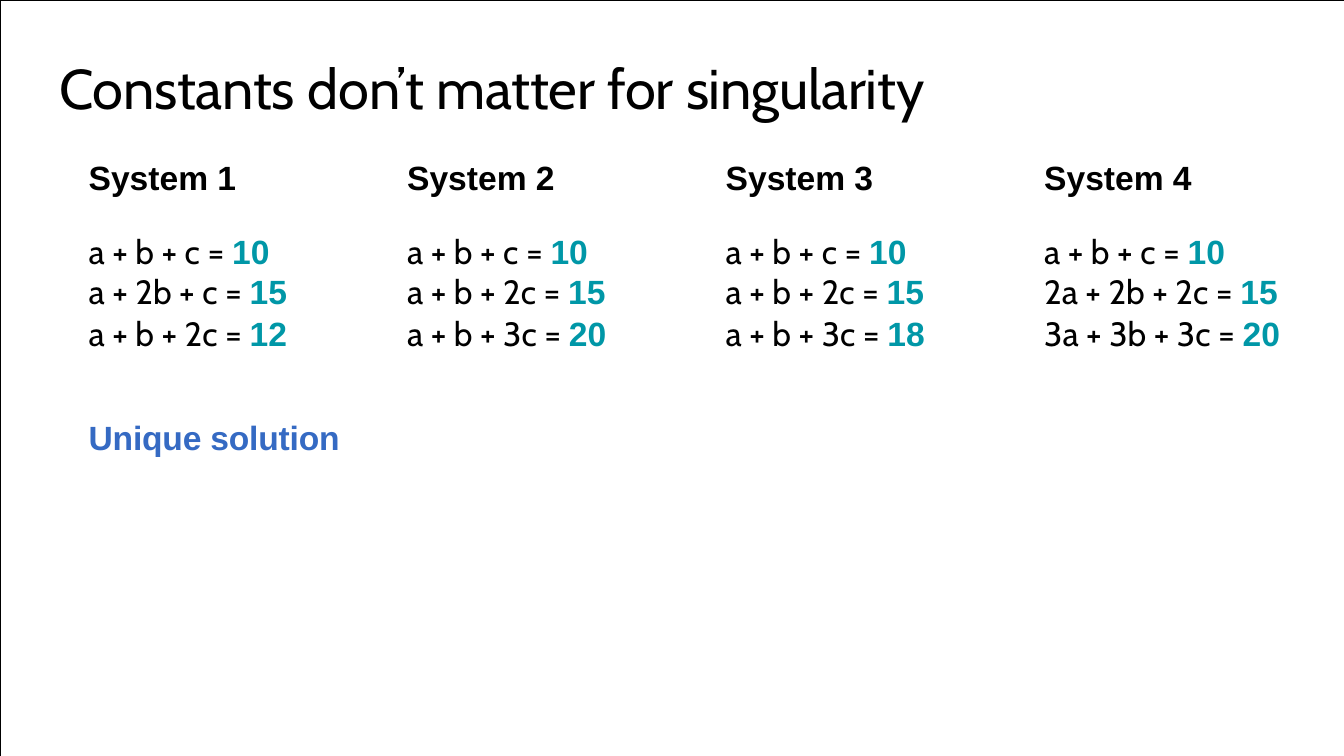
from pptx import Presentation
from pptx.dml.color import RGBColor
from pptx.enum import shapes, text
from pptx.util import Inches, Pt

SYSTEMS = [
    ("System 1", ["a + b + c = 10", "a + 2b + c = 15", "a + b + 2c = 12"]),
    ("System 2", ["a + b + c = 10", "a + b + 2c = 15", "a + b + 3c = 20"]),
    ("System 3", ["a + b + c = 10", "a + b + 2c = 15", "a + b + 3c = 18"]),
    ("System 4", ["a + b + c = 10", "2a + 2b + 2c = 15", "3a + 3b + 3c = 20"]),
]
COLUMN_WIDTHS = [2.16, 2.26, 2.37, 2.33]
ROW_HEIGHTS = [0.4, 0.43, 0.31, 0.54, 0.51]
INDENTS = [0.03, 0.24, 0.35, 0.35]
TOP_MARGINS = [0, 0.1, 0, 0, 0.2]
LINE_SPACINGS = [17.4, None, 19.4, 19.4, 21.1]


def color(value):
    return RGBColor.from_string(value)


class SlideBuilder:
    heading_font = "Arial"
    body_font = "Cabin"
    black = "000000"
    teal = "0097A7"
    blue = "356AC3"

    def __init__(self, deck):
        self.deck = deck
        self.page = deck.slides.add_slide(deck.slide_layouts[5])

    def style(self, span, font, size, fill, bold=False, tracking=0):
        span.font.name = font
        span.font.size = Pt(size)
        span.font.bold = bold
        span.font.color.rgb = color(fill)
        if tracking:
            span._r.get_or_add_rPr().set("spc", str(tracking))

    def frame(self):
        box = self.page.shapes.add_shape(
            shapes.MSO_SHAPE.RECTANGLE, 0, 0, self.deck.slide_width, self.deck.slide_height)
        box.shadow.inherit = False
        box.fill.background()
        box.line.color.rgb = color(self.black)
        box.line.width = Pt(0.25)
        self.page.shapes._spTree.insert(2, box._element)

    def title(self, parts):
        box = self.page.shapes.title
        box.left, box.top = Inches(0.43), Inches(0.39)
        box.width, box.height = Inches(6.81), Inches(0.53)
        body = box.text_frame
        body.margin_left = body.margin_top = Inches(0.01)
        body.margin_right = body.margin_bottom = 0
        body.vertical_anchor = text.MSO_ANCHOR.TOP
        body.auto_size = text.MSO_AUTO_SIZE.SHAPE_TO_FIT_TEXT
        para = body.paragraphs[0]
        para.alignment = text.PP_ALIGN.LEFT
        for wording, tracking in parts:
            span = para.add_run()
            span.text = wording
            self.style(span, self.body_font, 30, self.black, tracking=tracking)

    def table(self):
        grid = self.page.shapes.add_table(
            len(ROW_HEIGHTS), len(SYSTEMS), Inches(0.63), Inches(1.23),
            Inches(sum(COLUMN_WIDTHS)), Inches(sum(ROW_HEIGHTS))).table
        grid.first_row = grid.horz_banding = False
        for column, width in zip(grid.columns, COLUMN_WIDTHS):
            column.width = Inches(width)
        for row, height in zip(grid.rows, ROW_HEIGHTS):
            row.height = Inches(height)
        for cell in grid.iter_cells():
            cell.fill.background()
        for column, (name, equations) in enumerate(SYSTEMS):
            self.cell(grid, 0, column, [(name, self.heading_font, self.black, True)])
            for row, equation in enumerate(equations, 1):
                terms, constant = equation.split("= ")
                self.cell(grid, row, column, [
                    (terms + "= ", self.body_font, self.black, False),
                    (constant, self.heading_font, self.teal, True)])
        self.cell(grid, 4, 0, [("Unique solution", self.heading_font, self.blue, True)], -10)

    def cell(self, grid, row, column, parts, tracking=0):
        cell = grid.cell(row, column)
        cell.margin_left = Inches(INDENTS[column])
        cell.margin_top = Inches(TOP_MARGINS[row])
        cell.margin_right = cell.margin_bottom = 0
        para = cell.text_frame.paragraphs[0]
        if LINE_SPACINGS[row]:
            para.line_spacing = Pt(LINE_SPACINGS[row])
        for wording, font, fill, bold in parts:
            span = para.add_run()
            span.text = wording
            self.style(span, font, 18, fill, bold, tracking)


def main():
    deck = Presentation()
    deck.slide_width = Inches(10)
    deck.slide_height = Inches(10) * 9 // 16
    slide = SlideBuilder(deck)
    slide.frame()
    slide.title([("Constants ", -10), ("don’t ", 0), ("matter for singularity", -10)])
    slide.table()
    deck.save("out.pptx")


if __name__ == "__main__":
    main()
